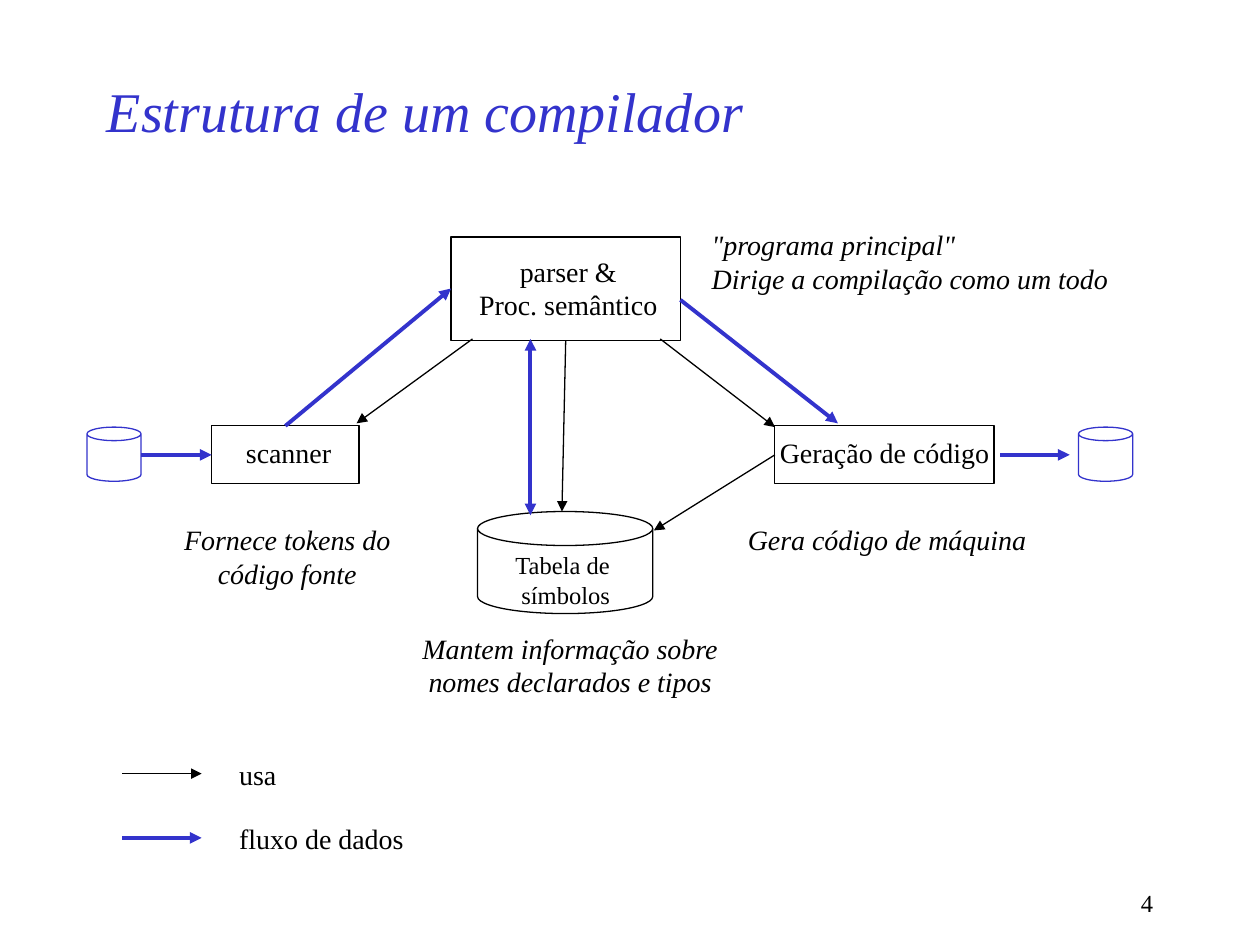
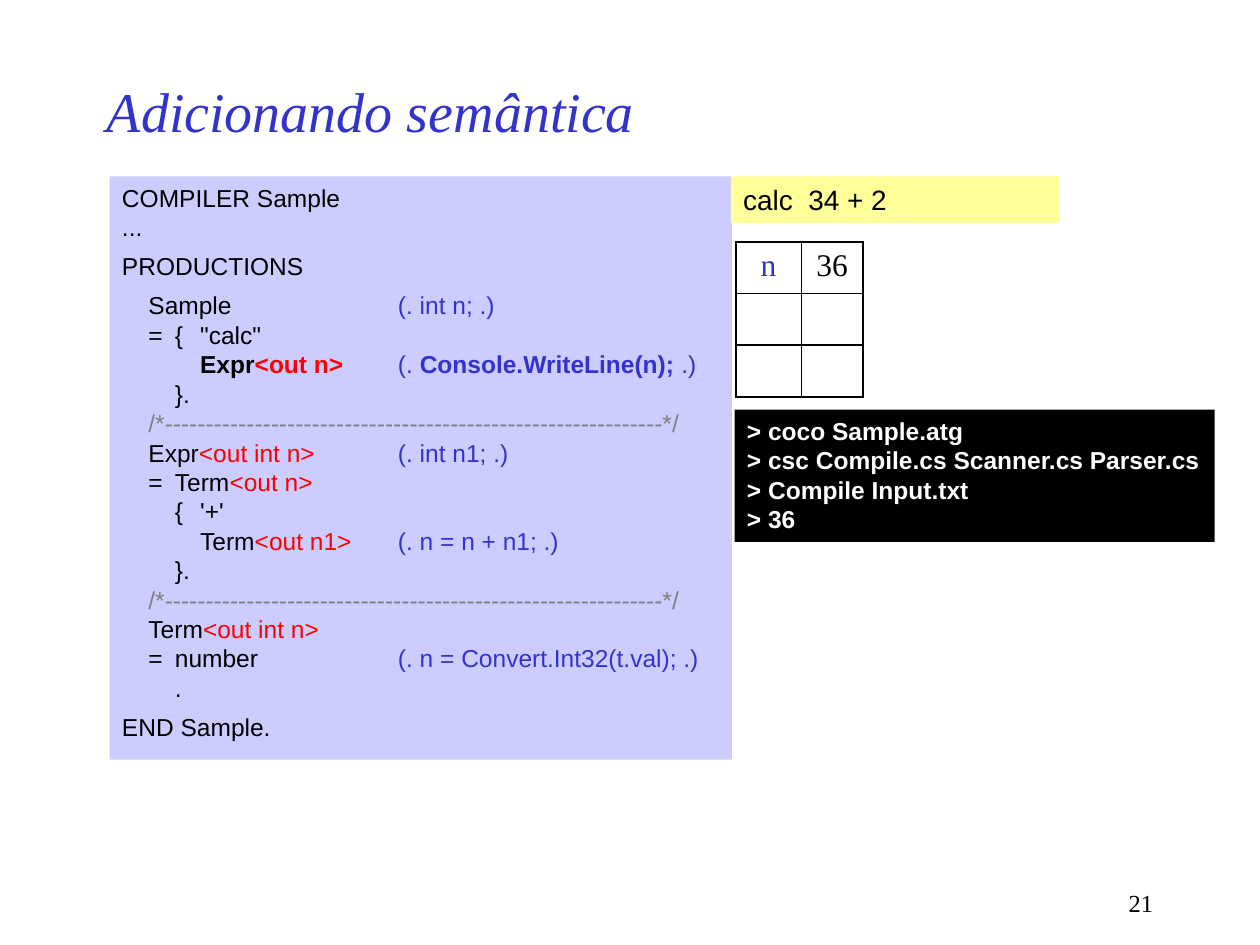
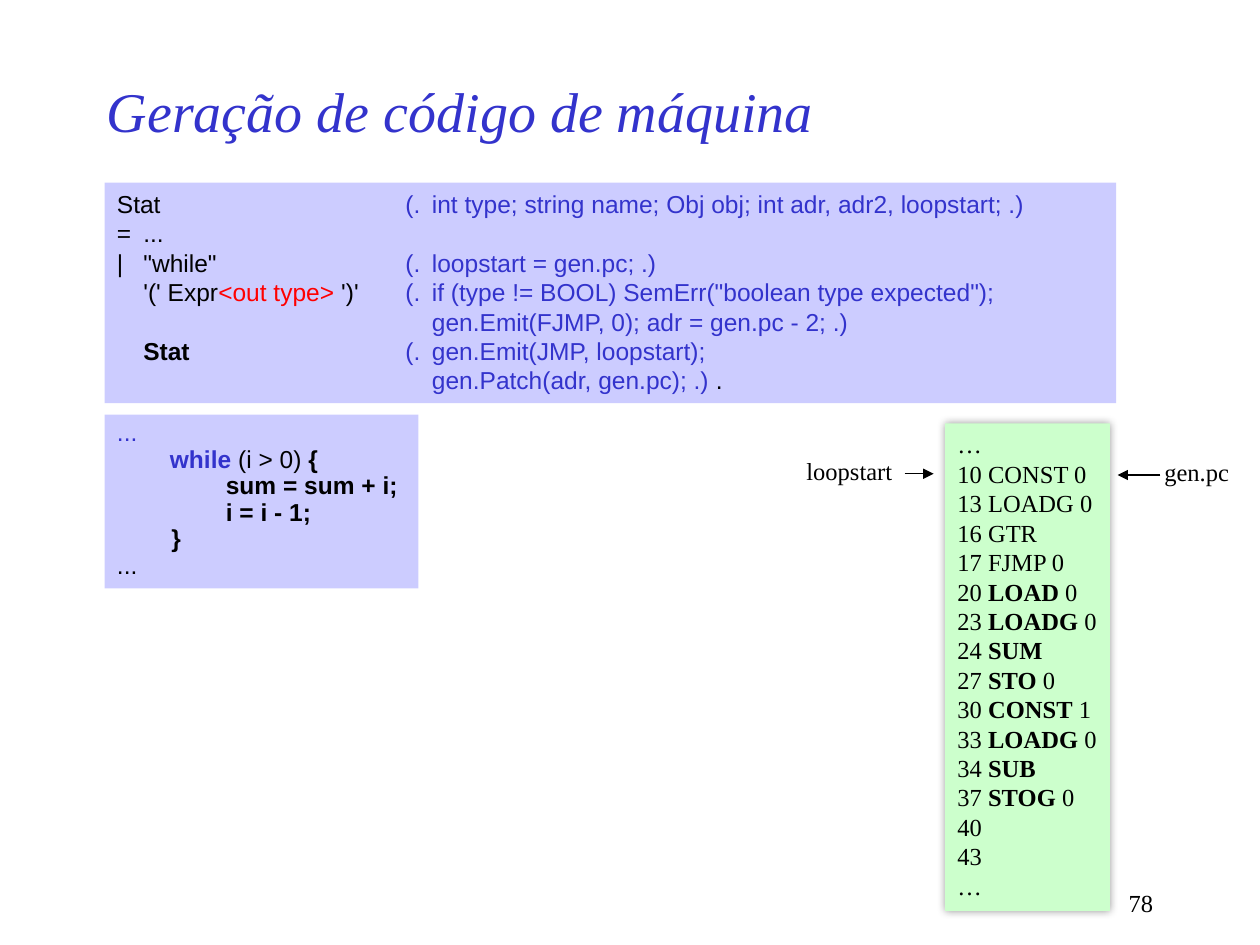
from lxml.etree import SubElement
from pptx import Presentation
from pptx.dml.color import RGBColor
from pptx.enum.shapes import MSO_CONNECTOR, MSO_SHAPE
from pptx.enum.text import MSO_ANCHOR, MSO_AUTO_SIZE, PP_ALIGN
from pptx.oxml.ns import qn
from pptx.util import Inches, Pt

BLACK = RGBColor(0x00, 0x00, 0x00)
WHITE = RGBColor(0xFF, 0xFF, 0xFF)
BLUE = RGBColor(0x33, 0x33, 0xCC)
RED = RGBColor(0xFF, 0x00, 0x00)
GRAY = RGBColor(0x80, 0x80, 0x80)
LAVENDER = RGBColor(0xCC, 0xCC, 0xFF)
YELLOW = RGBColor(0xFF, 0xFF, 0x99)
GREEN = RGBColor(0xCC, 0xFF, 0xCC)

SERIF, SANS = "Times New Roman", "Arial"
THIN, THICK = 0.75, 2.25

RUN_STYLES = {
    "plain": {},
    "bold": {"bold": True},
    "blue": {"color": BLUE},
    "blue bold": {"color": BLUE, "bold": True},
    "red": {"color": RED},
    "red bold": {"color": RED, "bold": True},
    "gray": {"color": GRAY},
}

COMPONENTS = {
    "parser": (MSO_SHAPE.RECTANGLE, 3.58, 1.88, 1.82, 0.82, BLACK),
    "scanner": (MSO_SHAPE.RECTANGLE, 1.68, 3.38, 1.17, 0.46, BLACK),
    "symbols": (MSO_SHAPE.FLOWCHART_MAGNETIC_DISK, 3.79, 4.06, 1.39, 0.81, BLACK),
    "generator": (MSO_SHAPE.RECTANGLE, 6.15, 3.38, 1.74, 0.46, BLACK),
    "source file": (MSO_SHAPE.CAN, 0.69, 3.39, 0.43, 0.43, BLUE),
    "target file": (MSO_SHAPE.CAN, 8.56, 3.39, 0.43, 0.43, BLUE),
}
COMPONENT_LABELS = [
    (["parser &", "Proc. semântico"], 3.69, 1.97, 1.64, 0.64, {}),
    (["scanner"], 1.85, 3.41, 0.88, 0.37, {}),
    (["Tabela de ", "símbolos"], 3.68, 4.32, 1.62, 0.57, {"size": 14, "wrap": True}),
    (["Geração de código"], 6.08, 3.41, 1.88, 0.37, {}),
]
REMARKS = [
    (["Fornece tokens do", "código fonte"], 1.35, 4.1, 1.86, 0.64, PP_ALIGN.CENTER),
    (["Mantem informação sobre", "nomes declarados e tipos"], 3.24, 4.96, 2.57, 0.64, PP_ALIGN.CENTER),
    (["Gera código de máquina"], 5.82, 4.1, 2.44, 0.37, PP_ALIGN.CENTER),
    (['"programa principal"', "Dirige a compilação como um todo"], 5.55, 1.76, 3.39, 0.64, PP_ALIGN.LEFT),
]
USES = [
    ((4.49, 2.7), (4.46, 4.06), {"begin": ("parser", 2)}),
    ((3.75, 2.69), (2.83, 3.36), {}),
    ((5.24, 2.69), (6.15, 3.39), {}),
    ((6.15, 3.61), (5.19, 4.21), {"begin": ("generator", 1)}),
]
DATA_FLOWS = [
    ((2.27, 3.38), (3.58, 2.29), {"begin": ("scanner", 0), "end": ("parser", 1)}),
    ((4.21, 4.09), (4.21, 2.69), {"both_heads": True}),
    ((1.12, 3.61), (1.68, 3.61), {"end": ("scanner", 1)}),
    ((7.94, 3.61), (8.49, 3.61), {}),
    ((5.4, 2.38), (6.65, 3.36), {}),
]
LEGEND = [("usa", 0.5, BLACK, THIN), ("fluxo de dados", 1.52, BLUE, THICK)]

RULE = [("\t/*-------------------------------------------------------------*/", "gray")]
GRAMMAR = [
    "COMPILER Sample",
    "...",
    "PRODUCTIONS",
    [("\tSample \t", "plain"), ("(. int n; .)", "blue")],
    '\t=\t{\t"calc"',
    [("\t\t\t", "plain"), ("Expr", "bold"), ("<out n>\t", "red bold"), ("(. ", "blue"),
     ("Console.WriteLine(n);", "blue bold"), (" .)", "blue")],
    "\t\t}.",
    RULE,
    [("\tExpr", "plain"), ("<out int n>\t", "red"), ("(. int n1; .)", "blue")],
    [("\t=\tTerm", "plain"), ("<out n>", "red")],
    "\t\t{\t'+'",
    [("\t\t\tTerm", "plain"), ("<out n1>\t", "red"), ("(. n = n + n1; .)", "blue")],
    "\t\t}.",
    RULE,
    [("\tTerm", "plain"), ("<out int n>", "red")],
    [("\t=\tnumber\t", "plain"), ("(. n = Convert.Int32(t.val); .)", "blue")],
    "\t\t.",
    "END Sample.",
]
GRAMMAR_GAPS = (2, 3, 17)
COMMANDS = [
    "> coco Sample.atg",
    "> csc Compile.cs Scanner.cs Parser.cs",
    "> Compile Input.txt",
    "> 36",
]
VARIABLES = [("n", "36"), ("", ""), ("", "")]

STATEMENT = [
    [("Stat\t\t", "plain"),
     ("(.\tint type; string name; Obj obj; int adr, adr2, loopstart; .)", "blue")],
    "=\t...",
    [('|\t"while"\t', "plain"), ("(.\tloopstart = gen.pc; .)", "blue")],
    [("\t'(' Expr", "plain"), ("<out type>", "red"), (" ')'\t", "plain"),
     ('(.\tif (type != BOOL) SemErr("boolean type expected");', "blue")],
    [("\t\t\t\tgen.Emit(FJMP, 0); adr = gen.pc - 2; .)", "blue")],
    [("\t", "plain"), ("Stat\t", "bold"), ("(.\tgen.Emit(JMP, loopstart);", "blue")],
    [("\t\t\t\tgen.Patch(adr, gen.pc); .)", "blue"), (" .", "plain")],
]
LOOP = [
    [("...", "blue")],
    [("\t\t", "plain"), ("while", "blue bold"), (" (i > 0) ", "plain"), ("{", "bold")],
    [("                sum = sum + i;", "bold")],
    [("                i = i - 1;", "bold")],
    [("        }", "bold")],
    "...",
]
PLAIN_CODE = ["…", "10 CONST 0", "13 LOADG 0", "16 GTR", "17 FJMP 0"]
BODY_CODE = [
    ("20 ", "LOAD", " 0"), ("23 ", "LOADG", " 0"), ("24 ", "SUM", ""),
    ("27 ", "STO", " 0"), ("30 ", "CONST", " 1"), ("33 ", "LOADG", " 0"),
    ("34 ", "SUB", ""), ("37 ", "STOG", " 0"),
]
MACHINE_CODE = PLAIN_CODE + [
    [(address, "plain"), (opcode, "bold"), (operand, "plain")]
    for address, opcode, operand in BODY_CODE
] + ["40", "43", "…"]


def write_runs(paragraph, line, font, size, color, bold, italic):
    for text, style in [(line, "plain")] if isinstance(line, str) else line:
        if not text:
            continue
        run = paragraph.add_run()
        run.text = text
        look = {"color": color, "bold": bold, **RUN_STYLES[style]}
        run.font.name = font
        run.font.size = Pt(size)
        run.font.bold = look["bold"]
        run.font.italic = italic
        run.font.color.rgb = look["color"]


def add_tabs(paragraph, tabs):
    tab_list = SubElement(paragraph._p.get_or_add_pPr(), qn("a:tabLst"))
    for position in tabs:
        SubElement(tab_list, qn("a:tab"), pos=str(Inches(position)), algn="l")


def add_text(slide, lines, left, top, width, height, font=SERIF, size=16, color=BLACK,
             bold=False, italic=False, align=PP_ALIGN.LEFT, anchor=MSO_ANCHOR.TOP,
             wrap=False, grow=True, fill=None, tabs=(), gaps=(), line_spacing=None, inset=True):
    place = [Inches(value) for value in (left, top, width, height)]
    if fill is None:
        shape = slide.shapes.add_textbox(*place)
    else:
        shape = slide.shapes.add_shape(MSO_SHAPE.RECTANGLE, *place)
        shape.shadow.inherit = False
        shape.fill.solid()
        shape.fill.fore_color.rgb = fill
        shape.line.fill.background()
    frame = shape.text_frame
    frame.word_wrap = wrap
    frame.auto_size = MSO_AUTO_SIZE.SHAPE_TO_FIT_TEXT if grow else MSO_AUTO_SIZE.NONE
    frame.vertical_anchor = anchor
    if not inset:
        frame.margin_left = frame.margin_right = frame.margin_top = frame.margin_bottom = 0
    for index, line in enumerate(lines):
        paragraph = frame.add_paragraph() if index else frame.paragraphs[0]
        if tabs:
            add_tabs(paragraph, tabs)
        paragraph.alignment = align
        if line_spacing:
            paragraph.line_spacing = line_spacing
        if index in gaps:
            paragraph.space_before = Pt(0.4 * size)
        write_runs(paragraph, line, font, size, color, bold, italic)
    return shape


def add_arrow(slide, start, finish, color=BLACK, width=THIN, both_heads=False, begin=None, end=None):
    points = [Inches(value) for value in (*start, *finish)]
    connector = slide.shapes.add_connector(MSO_CONNECTOR.STRAIGHT, *points)
    if begin:
        connector.begin_connect(*begin)
    if end:
        connector.end_connect(*end)
    connector.line.color.rgb = color
    connector.line.width = Pt(width)
    properties = connector._element.spPr
    line = properties.find(qn("a:ln"))
    if both_heads:
        SubElement(line, qn("a:headEnd"), type="triangle")
    SubElement(line, qn("a:tailEnd"), type="triangle")
    SubElement(properties, qn("a:effectLst"))


def add_component(slide, preset, left, top, width, height, color):
    shape = slide.shapes.add_shape(preset, Inches(left), Inches(top), Inches(width), Inches(height))
    shape.shadow.inherit = False
    shape.fill.background()
    shape.line.color.rgb = color
    shape.line.width = Pt(THIN)
    return shape


def add_glow(shape):
    effects = shape._element.spPr.find(qn("a:effectLst"))
    shadow = SubElement(effects, qn("a:outerShdw"), blurRad=str(Pt(5)), dist="0", dir="0")
    tint = SubElement(shadow, qn("a:srgbClr"), val=str(BLACK))
    SubElement(tint, qn("a:alpha"), val="40000")


def add_cell_borders(cell):
    properties = cell._tc.get_or_add_tcPr()
    for index, side in enumerate(("a:lnL", "a:lnR", "a:lnT", "a:lnB")):
        line = properties.makeelement(qn(side), {"w": str(Pt(1))})
        SubElement(SubElement(line, qn("a:solidFill")), qn("a:srgbClr"), val=str(BLACK))
        properties.insert(index, line)


def add_variable_table(slide):
    widths, row_height = (0.52, 0.49), 0.41
    frame = slide.shapes.add_table(
        len(VARIABLES), len(widths), Inches(5.84), Inches(1.92),
        Inches(sum(widths)), Inches(row_height * len(VARIABLES)))
    table = frame.table
    table.first_row = table.horz_banding = False
    for column, width in zip(table.columns, widths):
        column.width = Inches(width)
    for row, values in zip(table.rows, VARIABLES):
        row.height = Inches(row_height)
        for cell, value, color in zip(row.cells, values, (BLUE, BLACK)):
            cell.fill.background()
            add_cell_borders(cell)
            paragraph = cell.text_frame.paragraphs[0]
            paragraph.alignment = PP_ALIGN.CENTER
            write_runs(paragraph, value, SERIF, 18, color, False, False)


def add_slide(presentation, title, number):
    slide = presentation.slides.add_slide(presentation.slide_layouts[6])
    add_text(slide, [number], 7.17, 7, 2.08, 0.33, size=14, align=PP_ALIGN.RIGHT, wrap=True, grow=False)
    add_text(slide, [title], 0.75, 0.5, 7.5, 0.75, size=32, color=BLUE, italic=True,
             anchor=MSO_ANCHOR.MIDDLE, wrap=True, grow=False)
    return slide


def build_structure(presentation):
    slide = add_slide(presentation, "Estrutura de um compilador", "4")
    for lines, left, top, width, height, options in COMPONENT_LABELS:
        add_text(slide, lines, left, top, width, height, align=PP_ALIGN.CENTER, **options)
    shapes = {name: add_component(slide, *details) for name, details in COMPONENTS.items()}
    for arrows, color, weight in ((USES, BLACK, THIN), (DATA_FLOWS, BLUE, THICK)):
        for start, finish, options in arrows:
            joined = {key: (shapes[value[0]], value[1]) if key in ("begin", "end") else value
                      for key, value in options.items()}
            add_arrow(slide, start, finish, color, weight, **joined)
    for lines, left, top, width, height, align in REMARKS:
        add_text(slide, lines, left, top, width, height, italic=True, align=align)
    for index, (label, width, color, weight) in enumerate(LEGEND):
        middle = 6.14 + 0.51 * index
        add_arrow(slide, (0.97, middle), (1.6, middle), color, weight)
        add_text(slide, [label], 1.8, middle - 0.18, width, 0.37)


def build_semantics(presentation):
    slide = add_slide(presentation, "Adicionando semântica", "21")
    add_text(slide, GRAMMAR, 0.87, 1.4, 4.94, 4.63, font=SANS, size=14, fill=LAVENDER,
             tabs=(0.21, 0.42, 0.62, 2.19), gaps=GRAMMAR_GAPS)
    add_text(slide, ["calc  34 + 2"], 5.8, 1.4, 2.61, 0.37, font=SANS, fill=YELLOW, wrap=True)
    add_text(slide, COMMANDS, 5.83, 3.25, 3.81, 1.05, font=SANS, size=14, color=WHITE,
             bold=True, fill=BLACK)
    add_variable_table(slide)


def build_code_generation(presentation):
    slide = add_slide(presentation, "Geração de código de máquina", "78")
    add_text(slide, STATEMENT, 0.83, 1.45, 8.03, 1.75, font=SANS, size=14, fill=LAVENDER,
             wrap=True, tabs=(0.21, 0.42, 2.29, 2.5, 2.71))
    add_text(slide, LOOP, 0.83, 3.29, 2.49, 1.38, font=SANS, size=14, fill=LAVENDER,
             tabs=(0.21, 0.42, 0.62, 0.83), line_spacing=0.9)
    add_glow(add_text(slide, MACHINE_CODE, 7.5, 3.36, 1.31, 3.87, size=14, fill=GREEN))
    add_arrow(slide, (7.18, 3.76), (7.41, 3.76))
    add_text(slide, ["loopstart"], 6.4, 3.62, 0.69, 0.24, size=14, inset=False)
    add_arrow(slide, (9.21, 3.77), (8.87, 3.77))
    add_text(slide, ["gen.pc"], 9.24, 3.63, 0.52, 0.24, size=14, inset=False)


def main():
    presentation = Presentation()
    presentation.slide_width = Inches(10)
    presentation.slide_height = Inches(7.5)
    build_structure(presentation)
    build_semantics(presentation)
    build_code_generation(presentation)
    presentation.save("out.pptx")


if __name__ == "__main__":
    main()
